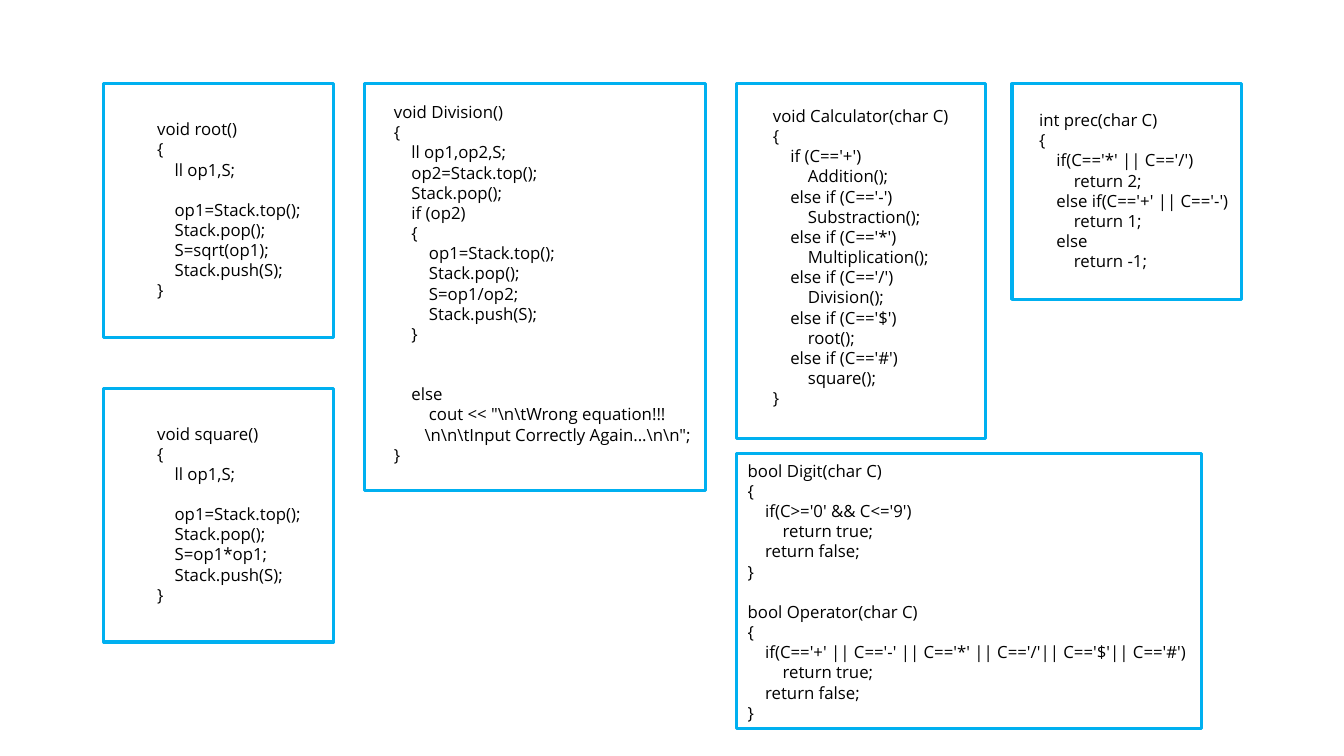
from pptx import Presentation
from pptx.dml.color import RGBColor
from pptx.enum.shapes import MSO_SHAPE
from pptx.enum.text import MSO_AUTO_SIZE
from pptx.util import Pt

BLUE = RGBColor(0x00, 0xB0, 0xF0)
BLACK = RGBColor(0, 0, 0)
FONT = "Open Sans"
FONT_SIZE = 12
LINE_HEIGHT = 14.4
SPACE_WIDTH = 3.12
TOP = 59.8
LEFT = 74.2
CALC_LEFT = 526.3
SMALL_WIDTH = 164.2
UNARY_HEIGHT = 181.4

UNARY = """
void {name}()
{{
    ll op1,S;

    op1=Stack.top();
    Stack.pop();
    S={result};
    Stack.push(S);
}}
"""
DIVISION = r"""
void Division()
{
    ll op1,op2,S;
    op2=Stack.top();
    Stack.pop();
    if (op2)
    {
        op1=Stack.top();
        Stack.pop();
        S=op1/op2;
        Stack.push(S);
    }


    else
        cout << "\n\tWrong equation!!!
       \n\n\tInput Correctly Again...\n\n";
}
"""
CALCULATOR = """
void Calculator(char C)
{
    if (C=='+')
        Addition();
    else if (C=='-')
        Substraction();
    else if (C=='*')
        Multiplication();
    else if (C=='/')
        Division();
    else if (C=='$')
        root();
    else if (C=='#')
        square();
}
"""
CHECKS = """
bool Digit(char C)
{
    if(C>='0' && C<='9')
        return true;
    return false;
}

bool Operator(char C)
{
    if(C=='+' || C=='-' || C=='*' || C=='/'|| C=='$'|| C=='#')
        return true;
    return false;
}
"""
PREC = """
int prec(char C)
{
    if(C=='*' || C=='/')
        return 2;
    else if(C=='+' || C=='-')
        return 1;
    else
        return -1;
"""


def add_code(s, text, x, y, w, size=FONT_SIZE, color=BLACK, font=FONT):
    """Turn leading spaces into indents and empty lines into space before."""
    lines = text.strip().split("\n")
    h = len(lines) * LINE_HEIGHT + 7.2
    tf = s.shapes.add_textbox(Pt(x), Pt(y), Pt(w), Pt(h)).text_frame
    tf.word_wrap = False
    tf.auto_size = MSO_AUTO_SIZE.SHAPE_TO_FIT_TEXT
    p, blanks = tf.paragraphs[0], 0
    for i, line in enumerate(lines):
        code = line.lstrip()
        if not code:
            blanks += 1
            continue
        if i:
            p = tf.add_paragraph()
        indent = len(line) - len(code)
        if indent:
            p._p.get_or_add_pPr().set("marL", str(Pt(indent * SPACE_WIDTH)))
        if blanks:
            p.space_before = Pt(blanks * LINE_HEIGHT)
            blanks = 0
        r = p.add_run()
        r.text = code
        r.font.size = Pt(size)
        r.font.name = font
        r.font.color.rgb = color


def add_panel(s, text, box, inset, text_width):
    """Frame a listing whose text box starts at inset from the frame's corner."""
    x, y, w, h = box
    frame = s.shapes.add_shape(MSO_SHAPE.RECTANGLE, Pt(x), Pt(y), Pt(w), Pt(h))
    frame.shadow.inherit = False
    frame.fill.background()
    frame.line.color.rgb = BLUE
    frame.line.width = Pt(2.25)
    add_code(s, text, x + inset[0], y + inset[1], text_width)


def add_code_slide(prs):
    s = prs.slides.add_slide(prs.slide_layouts[6])
    for name, result, y in (("root", "sqrt(op1)", TOP), ("square", "op1*op1", 277.2)):
        add_panel(s, UNARY.format(name=name, result=result),
                  (LEFT, y, SMALL_WIDTH, UNARY_HEIGHT), (31, 21.6), 118.1)
    add_panel(s, DIVISION, (260.6, TOP, 243.4, 290.9), (13.7, 9.4), 229)
    add_panel(s, CALCULATOR, (CALC_LEFT, TOP, 177.8, 253.4), (18.7, 12.2), 141.1)
    add_panel(s, CHECKS, (CALC_LEFT, 324, 331.9, 196.6), (0.7, 1.4), 331.9)
    add_panel(s, PREC, (722.9, TOP, SMALL_WIDTH, 154.1), (12.2, 15.1), 151.2)


def main():
    prs = Presentation()
    prs.slide_width, prs.slide_height = Pt(960), Pt(540)
    add_code_slide(prs)
    prs.save("out.pptx")


if __name__ == "__main__":
    main()
